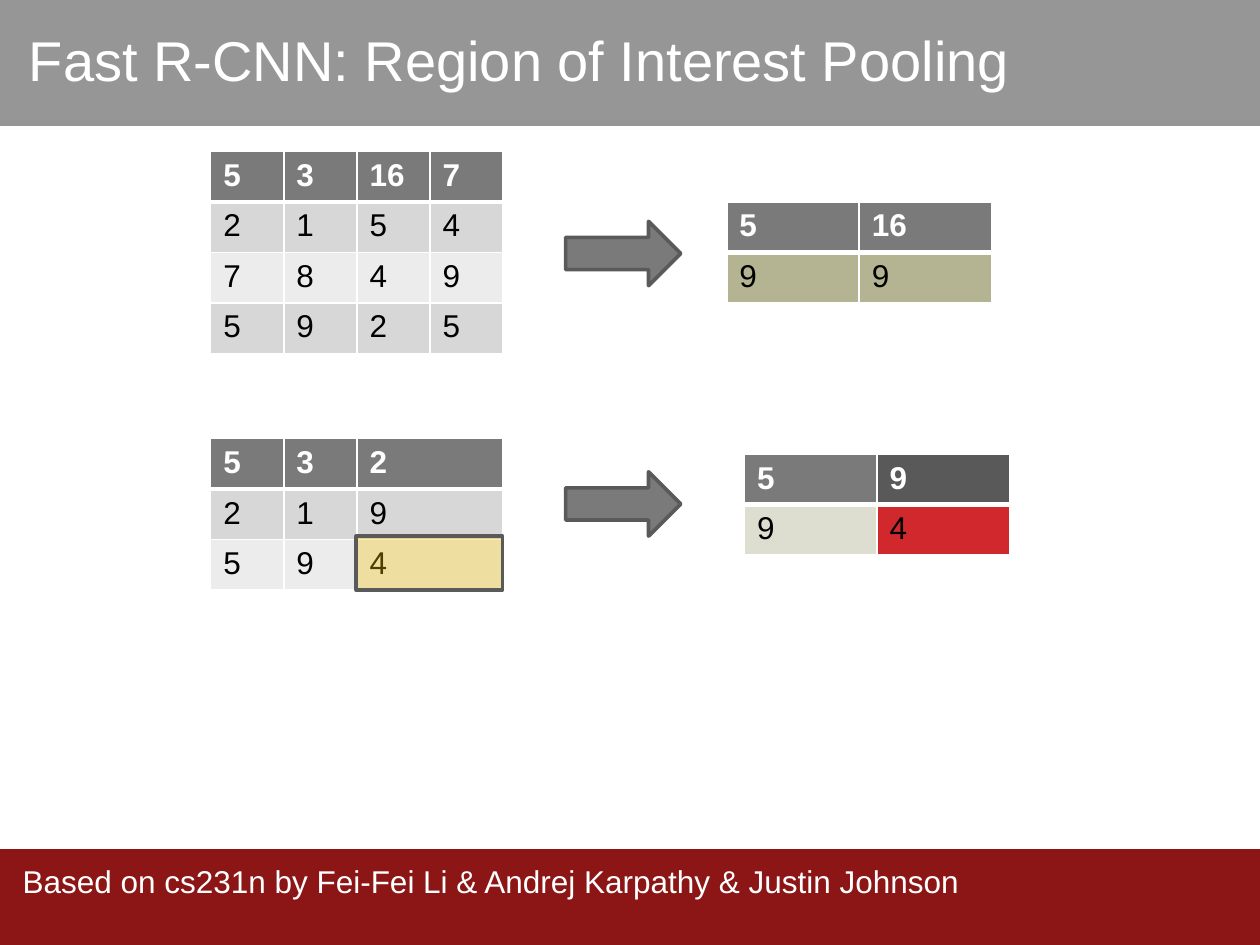
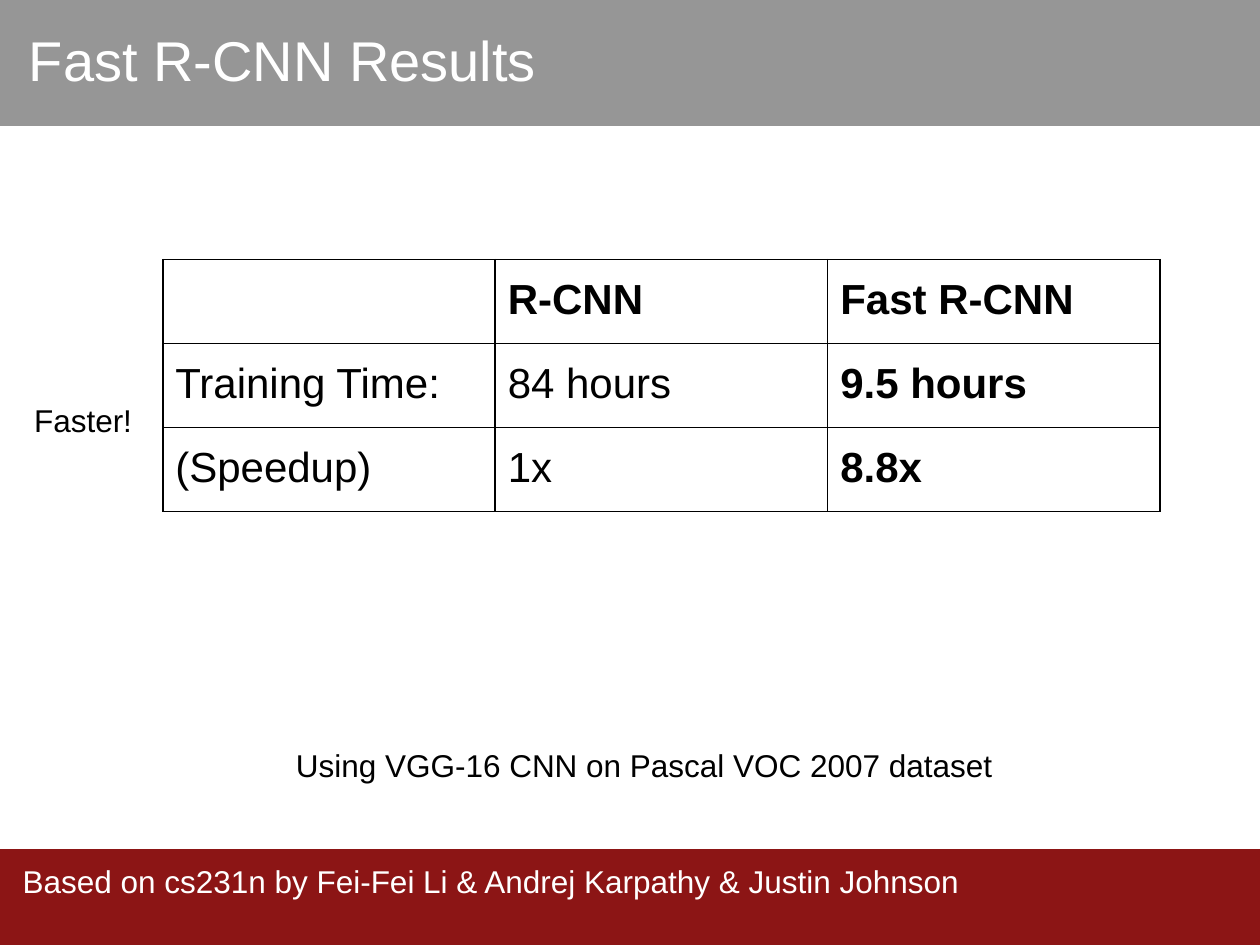
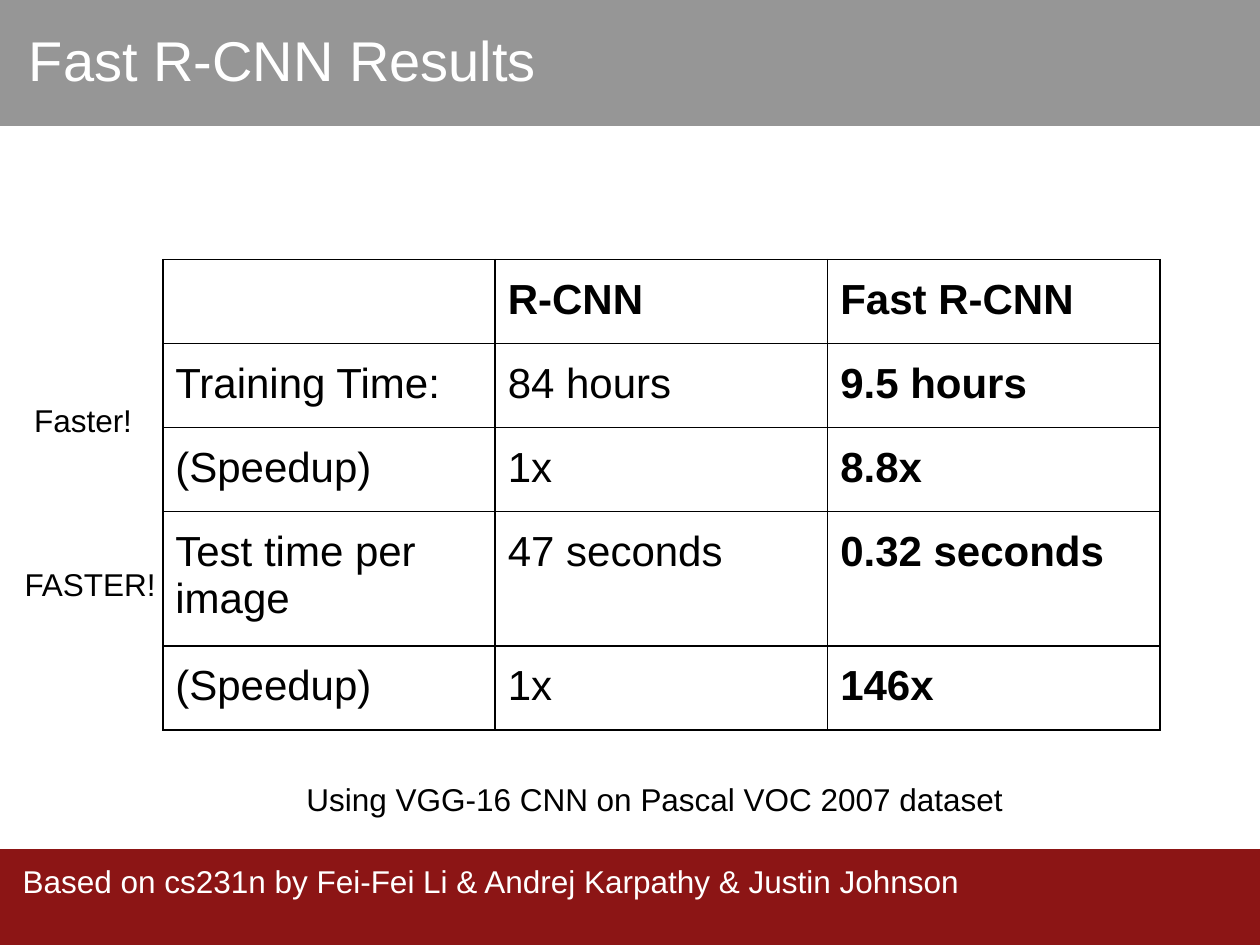
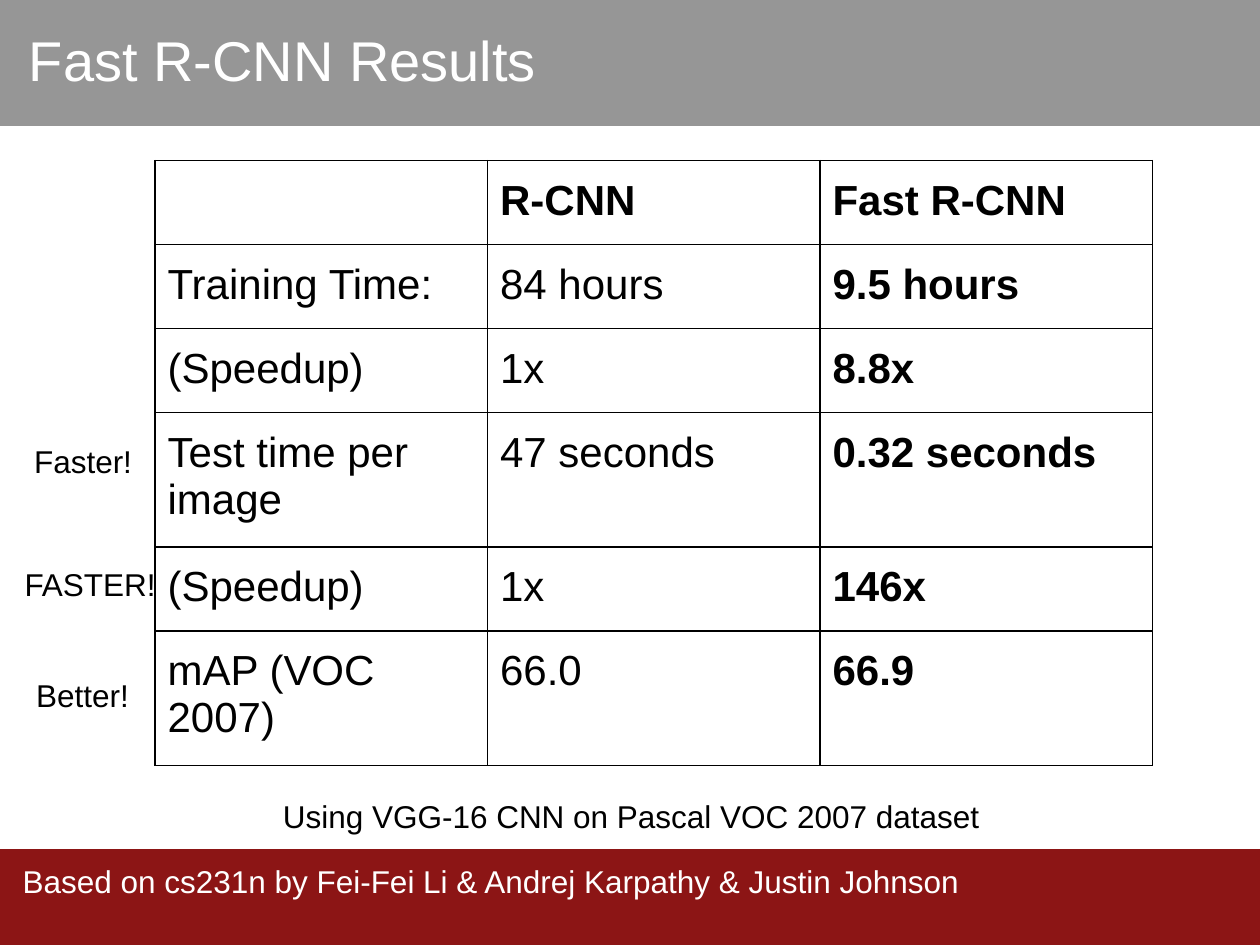
from lxml import etree
from pptx import Presentation
from pptx.dml.color import RGBColor
from pptx.enum.shapes import MSO_SHAPE
from pptx.enum.text import MSO_ANCHOR, PP_ALIGN
from pptx.oxml.ns import qn
from pptx.util import Pt

COLORS = {
    "white": "FFFFFF", "black": "000000", "title_band": "969696", "footer_band": "8C1515",
    "header": "7A7A7A", "header_dark": "595959", "outline": "5A5A5A",
    "odd_row": "D7D7D7", "even_row": "ECECEC", "olive": "B4B392", "pale_olive": "DEDED0",
    "red": "D1282E", "yellow": "F5C201",
}
RGB = {name: RGBColor.from_string(value) for name, value in COLORS.items()}
INSETS = {f"margin_{side}": Pt(7.2) for side in ("left", "top", "right", "bottom")}
RESULT_INSETS = {"margin_top": Pt(9.6), "margin_bottom": Pt(9.6)}


def add_label(slide, box, text, size=18, color="black", align=PP_ALIGN.LEFT, anchor=MSO_ANCHOR.TOP):
    frame = slide.shapes.add_textbox(*map(Pt, box)).text_frame
    for key, value in {**INSETS, "word_wrap": True, "vertical_anchor": anchor}.items():
        setattr(frame, key, value)
    frame.text = text
    frame.paragraphs[0].alignment = align
    font = frame.paragraphs[0].runs[0].font
    for key, value in {"size": Pt(size), "name": "Arial"}.items():
        setattr(font, key, value)
    font.color.rgb = RGB[color]


def add_grid(slide, left, top, widths, row_height, rows, style):
    """Add a table; style(row, column) gives fill, text colour, bold, size, borders and margins."""
    table = slide.shapes.add_table(
        len(rows), len(widths), Pt(left), Pt(top), Pt(sum(widths)), Pt(row_height * len(rows))).table
    table.first_row = table.horz_banding = False
    for column, width in zip(table.columns, widths):
        column.width = Pt(width)
    for r, values in enumerate(rows):
        table.rows[r].height = Pt(row_height)
        for c, value in enumerate(values):
            cell = table.cell(r, c)
            fill, color, bold, size, border, weights, margins = style(r, c)
            for key, margin in margins.items():
                setattr(cell, key, margin)
            # Borders come before the fill in the cell properties
            properties = cell._tc.get_or_add_tcPr()
            for side, weight in zip("LRTB", weights):
                line = etree.SubElement(properties, qn(f"a:ln{side}"), w=str(Pt(weight)))
                solid = etree.SubElement(line, qn("a:solidFill"))
                etree.SubElement(solid, qn("a:srgbClr"), val=COLORS[border])
            if fill:
                cell.fill.solid()
                cell.fill.fore_color.rgb = RGB[fill]
            else:
                cell.fill.background()
            cell.text = value
            font = cell.text_frame.paragraphs[0].font
            for key, setting in {"name": "Arial", "size": Pt(size), "bold": bold}.items():
                setattr(font, key, setting)
            font.color.rgb = RGB[color]


deck = Presentation()
deck.slide_width, deck.slide_height = Pt(720), Pt(540)

# Bands, footer and title of every slide
slides = []
for title in ["Fast R-CNN: Region of Interest Pooling"] + ["Fast R-CNN Results"] * 3:
    slide = deck.slides.add_slide(deck.slide_layouts[6])
    for top, height, color in [(0, 72, "title_band"), (485.3, 54.7, "footer_band")]:
        band = slide.shapes.add_shape(MSO_SHAPE.RECTANGLE, 0, Pt(top), Pt(720), Pt(height))
        band.shadow.inherit = False
        band.fill.solid()
        band.fill.fore_color.rgb = RGB[color]
        band.line.fill.background()
    add_label(slide, (5.8, 485.3, 714.2, 54.7),
              "Based on cs231n by Fei-Fei Li & Andrej Karpathy & Justin Johnson", color="white")
    add_label(slide, (9.4, 7.2, 606.2, 66.2), title, size=32, color="white")
    slides.append(slide)
pooling, *results = slides

# Slide 1: feature maps and their pooled outputs
feature_fills = [["header"] * 4, ["odd_row"] * 4, ["even_row"] * 4, ["odd_row"] * 4]
feature_maps = [
    (120.4, 86.6, [41.8] * 4, ["5 3 16 7", "2 1 5 4", "7 8 4 9", "5 9 2 5"], feature_fills),
    (120.4, 250.7, [41.8, 41.8, 83.6], ["5 3 2", "2 1 9", "5 9 4"], feature_fills),
    (425.5, 259.5, [75.7] * 2, ["5 9", "9 4"], [["header", "header_dark"], ["pale_olive", "red"]]),
    (415.3, 115.3, [75.7] * 2, ["5 16", "9 9"], [["header"] * 2, ["olive"] * 2]),
]
for left, top, widths, rows, fills in feature_maps:
    add_grid(pooling, left, top, widths, 27.4, [row.split() for row in rows],
             lambda r, c: (fills[r][c], "black" if r else "white", r == 0, 18, "white",
                           (1, 1, 3 if r == 1 else 1, 1 if r else 3), {}))

# Slide 1: pooling arrows and the highlighted cell
for preset, box, fill in [
    (MSO_SHAPE.RIGHT_ARROW, (323.2, 126.5, 65.8, 36.8), "header"),
    (MSO_SHAPE.RIGHT_ARROW, (323.2, 269.6, 65.8, 36.8), "header"),
    (MSO_SHAPE.RECTANGLE, (203.6, 306.4, 83.5, 30.8), "yellow"),
]:
    mark = pooling.shapes.add_shape(preset, *map(Pt, box))
    mark.shadow.inherit = False
    mark.fill.solid()
    mark.fill.fore_color.rgb = RGB[fill]
    mark.line.color.rgb = RGB["outline"]
    mark.line.width = Pt(2.08)
tint = mark.fill._xPr.find(qn("a:solidFill"))[0]
etree.SubElement(tint, qn("a:alpha"), val="32000")

# Slides 2 to 4: the comparison grows row by row
comparison = [
    ("", "R-CNN", "Fast R-CNN"),
    ("Training Time:", "84 hours", "9.5 hours"),
    ("(Speedup)", "1x", "8.8x"),
    ("Test time per image", "47 seconds", "0.32 seconds"),
    ("(Speedup)", "1x", "146x"),
    ("mAP (VOC 2007)", "66.0", "66.9"),
]
faster = ("Faster!", 6.5, 221.8, 82.1)
much_faster = ("FASTER!", 6.5, 315.4, 90)
stages = [
    (3, 93, 148.3, (162, 416.9, 416.2, 41), [faster]),
    (5, 93, 148.3, (168, 436.3, 432.7, 41), [faster, much_faster]),
    (6, 88.6, 91.8, (154.6, 445.7, 453.6, 41),
     [("Faster!", 6.5, 245.5, 82.1), much_faster, ("Better!", 2.2, 379.4, 90)]),
]
for slide, (row_count, left, top, note_box, remarks) in zip(results, stages):
    add_grid(slide, left, top, [190] * 3, 48, comparison[:row_count],
             lambda r, c: (None, "black", r == 0 or c == 2, 24, "black", (1, 1, 1, 1), RESULT_INSETS))
    add_label(slide, note_box, "Using VGG-16 CNN on Pascal VOC 2007 dataset", anchor=MSO_ANCHOR.MIDDLE)
    for remark, remark_left, remark_top, width in remarks:
        add_label(slide, (remark_left, remark_top, width, 45.4), remark, align=PP_ALIGN.CENTER)

deck.save("out.pptx")
